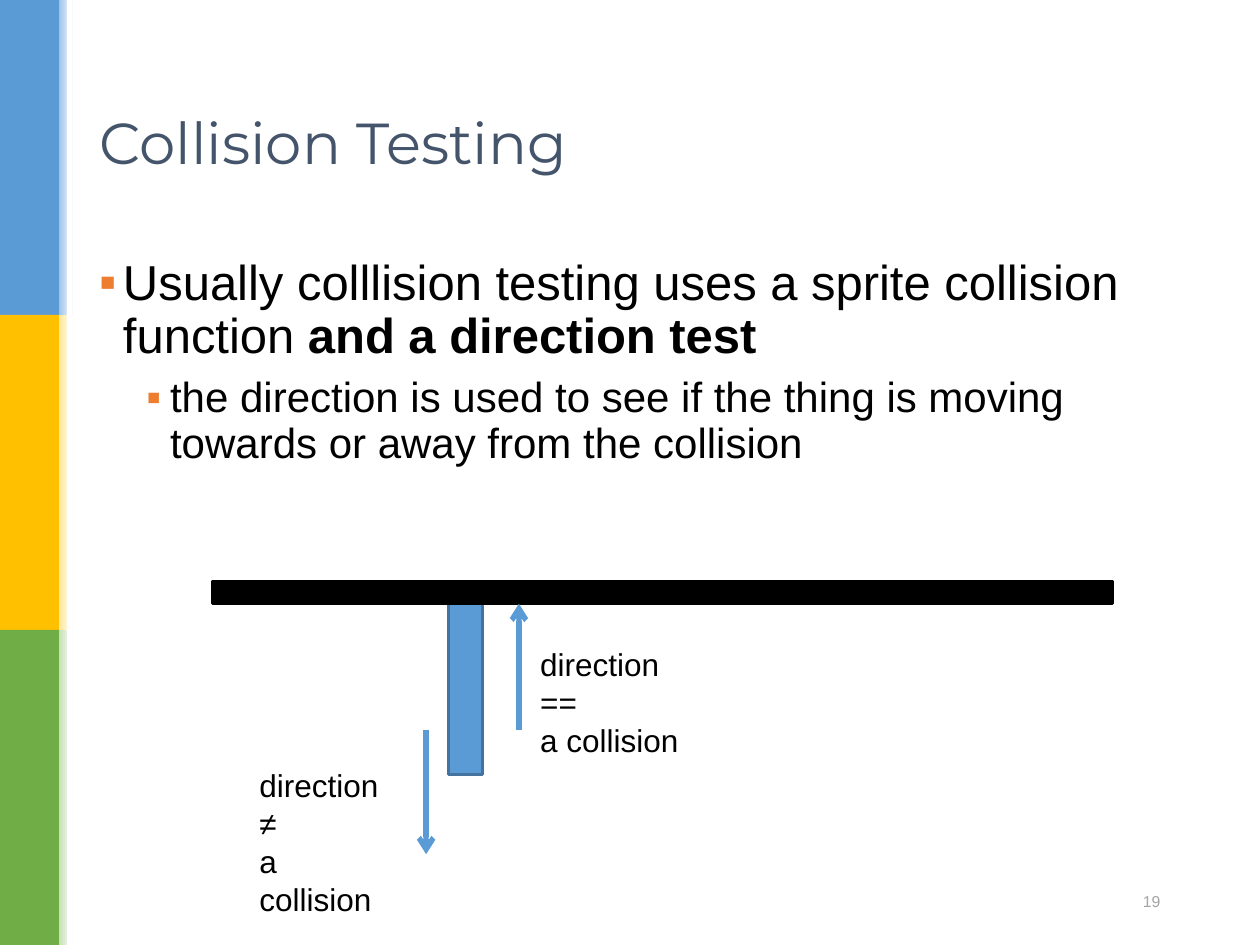
"""Build the Collision Testing slide."""
import pptx
import pptx.util
import pptx.dml.color
import pptx.enum.shapes
import pptx.enum.text
import pptx.oxml
import pptx.oxml.ns
from pptx.util import Cm

RGBColor = pptx.dml.color.RGBColor
BLUE = RGBColor(0x5B, 0x9B, 0xD5)
YELLOW = RGBColor(0xFF, 0xC0, 0x00)
GREEN = RGBColor(0x70, 0xAD, 0x47)
LIGHT_BLUE = RGBColor(0x9D, 0xC3, 0xE6)
LIGHT_YELLOW = RGBColor(0xFF, 0xE6, 0x99)
LIGHT_GREEN = RGBColor(0xC5, 0xE0, 0xB4)
DARK_BLUE = RGBColor(0x43, 0x73, 0x9E)
SLATE = RGBColor(0x44, 0x54, 0x6A)
ORANGE = RGBColor(0xED, 0x7D, 0x31)
GRAY = RGBColor(0xA5, 0xA5, 0xA5)
BLACK = RGBColor(0, 0, 0)
WHITE = RGBColor(0xFF, 0xFF, 0xFF)
NS = pptx.oxml.ns.nsdecls("a")
ANCHOR = pptx.enum.text.MSO_ANCHOR
ALIGN = pptx.enum.text.PP_ALIGN

prs = pptx.Presentation()
prs.slide_width, prs.slide_height = Cm(25.4), Cm(19.05)
s = prs.slides.add_slide(prs.slide_layouts[6])


def add_rect(x, y, w, h, fill, line=None):
    """Add a plain rectangle, measured in centimetres."""
    sp = s.shapes.add_shape(pptx.enum.shapes.MSO_SHAPE.RECTANGLE, Cm(x), Cm(y), Cm(w), Cm(h))
    sp.shadow.inherit = False
    sp.fill.solid()
    sp.fill.fore_color.rgb = fill
    if line is None:
        sp.line.fill.background()
    else:
        sp.line.color.rgb = line
        sp.line.width = pptx.util.Pt(1.5)
    return sp


def add_text(paragraphs, x, y, w, h, size=18, font="Arial", color=BLACK,
             anchor=ANCHOR.TOP, align=ALIGN.LEFT, wrap=True):
    """Add a text box whose paragraphs are lists of (text, bold, size) runs or plain strings."""
    tf = s.shapes.add_textbox(Cm(x), Cm(y), Cm(w), Cm(h)).text_frame
    tf.word_wrap = wrap
    tf.vertical_anchor = anchor
    for i, runs in enumerate(paragraphs):
        p = tf.add_paragraph() if i else tf.paragraphs[0]
        p.alignment = align
        for text, bold, run_size in [(runs, False, size)] if isinstance(runs, str) else runs:
            r = p.add_run()
            r.text = text
            r.font.name = font
            r.font.size = pptx.util.Pt(run_size)
            r.font.bold = bold
            r.font.color.rgb = color
    return tf


bands = [(BLUE, LIGHT_BLUE), (YELLOW, LIGHT_YELLOW), (GREEN, LIGHT_GREEN)]
for i, (color, light) in enumerate(bands):
    add_rect(0, i * 6.35, 1.19, 6.35, color)
    sp = add_rect(1.19, i * 6.35, 0.3, 6.35, light)
    sp.fill.gradient()
    sp.fill.gradient_angle = 0
    for stop, stop_color, position in zip(sp.fill.gradient_stops, (light, WHITE), (0, 1)):
        stop.color.rgb = stop_color
        stop.position = position
add_rect(1.35, 0, 0.1, 19.05, WHITE)

body = add_text([
    [("Usually colllision testing uses a sprite collision function ", False, 28),
     ("and a direction test", True, 28)],
    [("the direction is used to see if the thing is moving towards or away from the collision",
      False, 24)],
], 1.75, 5.08, 21.9, 4.98)
for level, p in enumerate(body.paragraphs):
    p.level = level
    p.line_spacing = 0.9
    p.space_before = pptx.util.Pt(7.2 * level)
    pPr = p._p.get_or_add_pPr()
    pPr.set("marL", str(Cm(0.48 + 0.95 * level)))
    pPr.set("indent", str(-Cm(0.48)))
    for xml in (f'<a:buClr {NS}><a:srgbClr val="{ORANGE}"/></a:buClr>',
                f'<a:buFont {NS} typeface="Arial"/>',
                f'<a:buChar {NS} char="▪"/>'):
        pPr.append(pptx.oxml.parse_xml(xml))

add_text(["Collision Testing"], 1.75, 1.02, 21.9, 3.68, size=33, font="Montserrat",
         color=SLATE, anchor=ANCHOR.MIDDLE)
add_text(["19"], 16.81, 17.65, 6.83, 1.02, size=9, color=GRAY,
         anchor=ANCHOR.MIDDLE, align=ALIGN.RIGHT)

add_rect(9.04, 12.17, 0.69, 3.45, BLUE, DARK_BLUE)
add_rect(4.29, 11.71, 18.14, 0.46, BLACK, BLACK)

for x, end in [(10.46, 12.17), (8.59, 17.22)]:
    arrow = s.shapes.add_connector(pptx.enum.shapes.MSO_CONNECTOR.STRAIGHT,
                                   Cm(x), Cm(14.71), Cm(x), Cm(end))
    arrow.line.color.rgb = BLUE
    arrow.line.width = pptx.util.Pt(3)
    arrow.line._get_or_add_ln().append(pptx.oxml.parse_xml(f'<a:tailEnd {NS} type="arrow"/>'))
    arrow._element.spPr.append(pptx.oxml.parse_xml(f"<a:effectLst {NS}/>"))

add_text(["direction ==", "a collision"], 10.64, 12.88, 3.51, 1.83, wrap=False)
add_text(["direction ≠", "a collision"], 4.98, 15.32, 3.2, 2.46, wrap=False)

prs.save("out.pptx")
